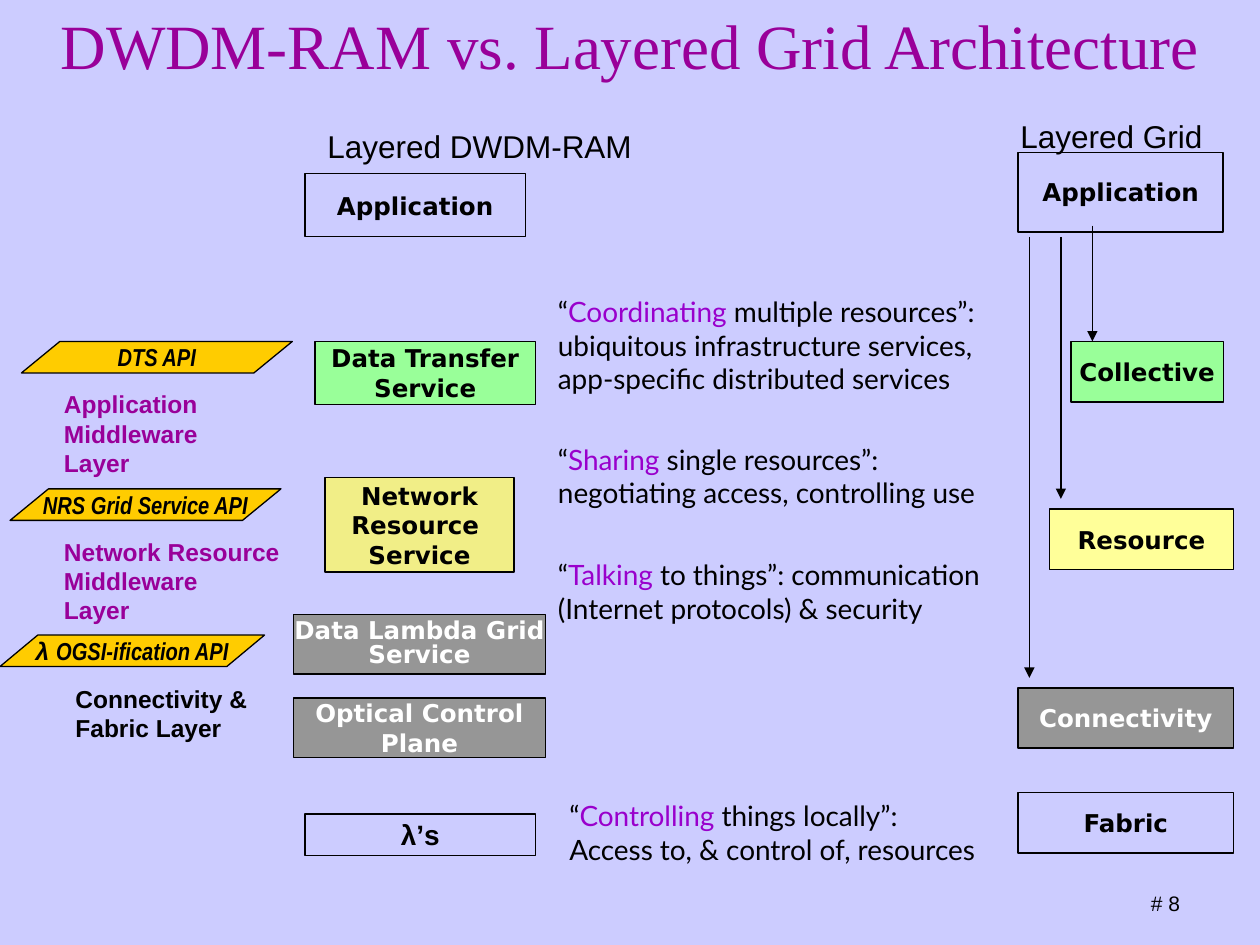
from lxml import etree
from pptx import Presentation
from pptx.dml.color import RGBColor
from pptx.enum.shapes import MSO_CONNECTOR, MSO_SHAPE
from pptx.enum.text import MSO_ANCHOR, MSO_AUTO_SIZE, PP_ALIGN
from pptx.oxml.ns import qn
from pptx.util import Inches, Pt

RECT, SLANTED = MSO_SHAPE.RECTANGLE, MSO_SHAPE.PARALLELOGRAM
LEFT, CENTER = PP_ALIGN.LEFT, PP_ALIGN.CENTER
TOP, MIDDLE = MSO_ANCHOR.TOP, MSO_ANCHOR.MIDDLE
GROW = MSO_AUTO_SIZE.SHAPE_TO_FIT_TEXT

LAVENDER = RGBColor(0xCC, 0xCC, 0xFF)
BLACK = RGBColor(0, 0, 0)
WHITE = RGBColor(0xFF, 0xFF, 0xFF)
PURPLE = RGBColor(0x99, 0, 0x99)
VIOLET = RGBColor(0x99, 0, 0xCC)
GREEN = RGBColor(0x99, 0xFF, 0x99)
YELLOW = RGBColor(0xFF, 0xFF, 0x99)
KHAKI = RGBColor(0xF1, 0xEE, 0x87)
GRAY = RGBColor(0x96, 0x96, 0x96)
GOLD = RGBColor(0xFF, 0xCC, 0)

TITLE = {"name": "Times New Roman", "size": Pt(36), "color": PURPLE}
HEADING = {"name": "Arial", "size": Pt(18), "color": BLACK}
NUMBER = {"name": "Arial", "size": Pt(12), "color": BLACK}
BOX = {"name": "DejaVu Sans", "size": Pt(14), "bold": True, "color": BLACK}
BOX_WHITE = {**BOX, "color": WHITE}
LAMBDA = {"name": "Arial", "size": Pt(16), "bold": True, "color": BLACK}
LAYER = {"name": "Arial", "size": Pt(14), "bold": True, "color": PURPLE}
LAYER_BLACK = {**LAYER, "color": BLACK}
API = {"name": "Arial Narrow", "size": Pt(14), "bold": True, "italic": True, "color": BLACK}
API_LAMBDA = {**API, "name": "Arial"}
NOTE = {"name": "Lato", "size": Pt(16), "color": BLACK}
NOTE_KEY = {**NOTE, "color": VIOLET}

# (left, top, width, height), lines, fill, text format, line spacing
DWDM_BOXES = [
    ((2.42, 1.38, 1.75, 0.5), ["Application"], None, BOX, 1),
    ((2.5, 2.71, 1.75, 0.5), ["Data Transfer", "Service"], GREEN, BOX, 1),
    ((2.58, 3.79, 1.5, 0.75), ["Network", "Resource ", "Service"], KHAKI, BOX, 1),
    ((2.33, 4.88, 2, 0.47), ["Data Lambda Grid", "Service"], GRAY, BOX_WHITE, 0.8),
    ((2.33, 5.54, 2, 0.47), ["Optical Control", "Plane"], GRAY, BOX_WHITE, 1),
    ((2.42, 6.46, 1.83, 0.33), ["λ’s"], LAVENDER, LAMBDA, 1),
]
GRID_BOXES = [
    ((8.08, 1.21, 1.63, 0.63), ["Application"], None, BOX, 1),
    ((8.5, 2.71, 1.21, 0.48), ["Collective"], GREEN, BOX, 1),
    ((8.33, 4.04, 1.46, 0.48), ["Resource"], YELLOW, BOX, 1),
    ((8.08, 5.46, 1.71, 0.48), ["Connectivity"], GRAY, BOX_WHITE, 1),
    ((8.08, 6.29, 1.71, 0.48), ["Fabric"], LAVENDER, BOX, 1),
]
# (left, top, width), slant, runs
APIS = [
    ((0.17, 2.71, 2.15), 1.22, [("DTS API", API)]),
    ((0.08, 3.88, 2.15), 1.22, [("NRS Grid Service API", API)]),
    ((0, 5.04, 2.1), 1.2, [("λ ", API_LAMBDA), ("OGSI-ification API", API)]),
]
LABELS = [
    ((2.5, 0.96, 2.63, 0.4), ["Layered DWDM-RAM"], HEADING),
    ((8, 0.88, 1.66, 0.4), ["Layered Grid"], HEADING),
    ((0.41, 3.04, 1.33, 0.8), ["Application", "Middleware", "Layer"], LAYER),
    ((0.41, 4.21, 1.93, 0.8), ["Network Resource", "Middleware", "Layer"], LAYER),
    ((0.5, 5.38, 1.58, 0.57), ["Connectivity &", "Fabric Layer"], LAYER_BLACK),
]
# (left, top, width), key word, rest
NOTES = [
    ((4.33, 2.29, 3.83), "Coordinating", " multiple resources”: ubiquitous "
     "infrastructure services, app-specific distributed services"),
    ((4.33, 3.46, 3.75), "Sharing",
     " single resources”: negotiating access, controlling use"),
    ((4.33, 4.38, 3.78), "Talking",
     " to things”: communication (Internet protocols) & security"),
    ((4.42, 6.29, 3.5), "Controlling",
     " things locally”: Access to, & control of, resources"),
]
ARROWS = [(8.17, 1.88, 5.38), (8.42, 1.88, 3.96), (8.67, 1.79, 2.71)]  # x, top, bottom


def write(shape, paragraphs, align=LEFT, anchor=TOP, wrap=False, spacing=1):
    """Fill a shape with paragraphs, each a list of (text, format) runs."""
    tf = shape.text_frame
    tf.word_wrap, tf.vertical_anchor = wrap, anchor
    for i, runs in enumerate(paragraphs):
        p = tf.add_paragraph() if i else tf.paragraphs[0]
        p.alignment, p.line_spacing = align, spacing
        for text, fmt in runs:
            r = p.add_run()
            r.text = text
            for key, value in fmt.items():
                if key == "color":
                    r.font.color.rgb = value
                else:
                    setattr(r.font, key, value)


def add_text(s, place, paragraphs, **layout):
    sp = s.shapes.add_textbox(*map(Inches, place))
    write(sp, paragraphs, **layout)
    return sp


def add_box(s, kind, place, paragraphs, fill, line_width, spacing=1):
    sp = s.shapes.add_shape(kind, *map(Inches, place))
    sp.shadow.inherit = False
    if fill is None:
        sp.fill.background()
    else:
        sp.fill.solid()
        sp.fill.fore_color.rgb = fill
    sp.line.color.rgb = BLACK
    sp.line.width = Pt(line_width)
    write(sp, paragraphs, CENTER, MIDDLE, spacing=spacing)
    return sp


def add_arrow(s, x, top, bottom):
    line = s.shapes.add_connector(MSO_CONNECTOR.STRAIGHT, *map(Inches, (x, top, x, bottom)))
    line.line.color.rgb = BLACK
    line.line.width = Pt(1)
    etree.SubElement(line.line._get_or_add_ln(), qn("a:tailEnd"), type="triangle")
    etree.SubElement(line._element.spPr, qn("a:effectLst"))


def main():
    prs = Presentation()
    prs.slide_width, prs.slide_height = Inches(10), Inches(7.5)
    s = prs.slides.add_slide(prs.slide_layouts[6])
    s.background.fill.solid()
    s.background.fill.fore_color.rgb = LAVENDER

    add_text(s, (0, 0, 10, 0.82), [[("DWDM-RAM vs. Layered Grid Architecture", TITLE)]],
             align=CENTER, wrap=True)
    for boxes, line_width in ((DWDM_BOXES, 0.75), (GRID_BOXES, 1)):
        for place, lines, fill, fmt, spacing in boxes:
            add_box(s, RECT, place, [[(text, fmt)] for text in lines], fill, line_width, spacing)
    for place, slant, runs in APIS:
        sp = add_box(s, SLANTED, (*place, 0.25), [runs], GOLD, 0.75)
        sp.adjustments[0] = slant
    for place, lines, fmt in LABELS:
        label = add_text(s, place, [[(text, fmt)] for text in lines])
        label.text_frame.auto_size = GROW
    for place, key, rest in NOTES:
        add_text(s, (*place, 0.9), [[("“", NOTE), (key, NOTE_KEY), (rest, NOTE)]], wrap=True)
    for arrow in ARROWS:
        add_arrow(s, *arrow)
    add_text(s, (8.5, 7.02, 1.5, 0.3), [[("# 8", NUMBER)]], align=CENTER, wrap=True)
    prs.save("out.pptx")


if __name__ == "__main__":
    main()
